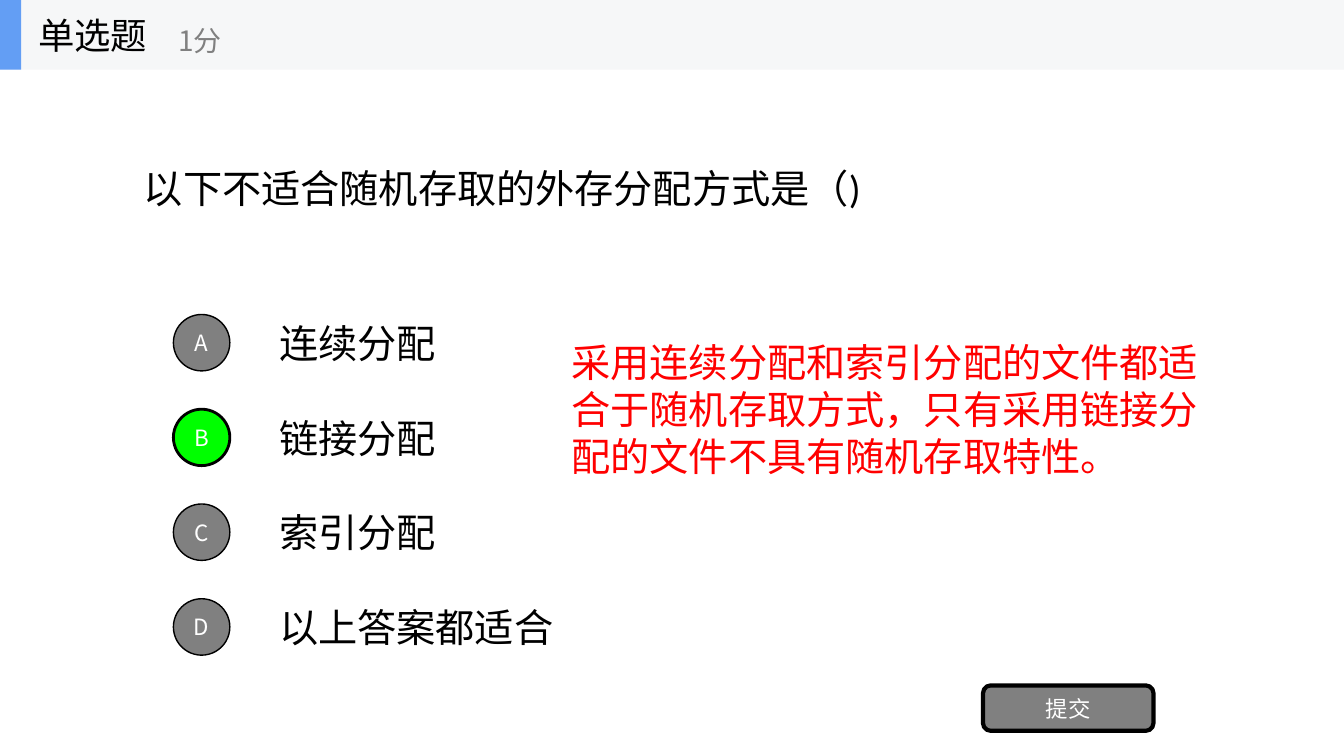
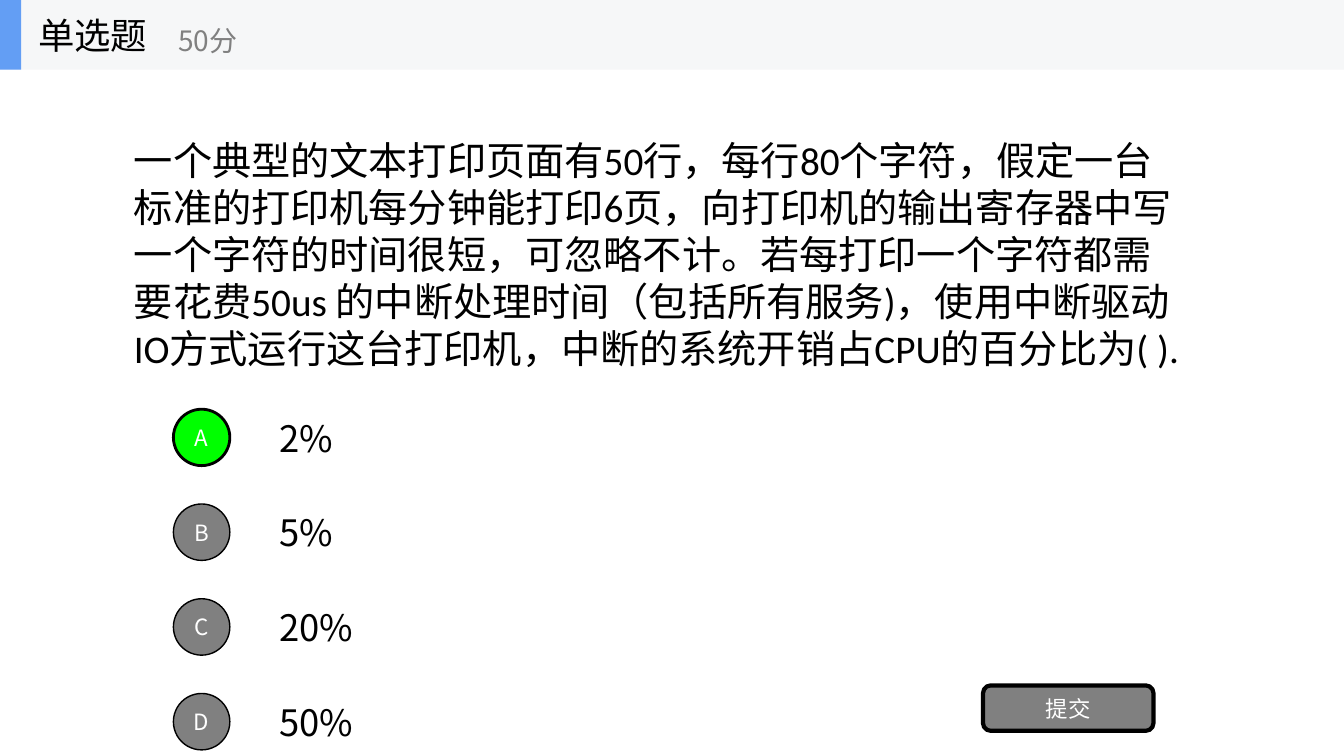
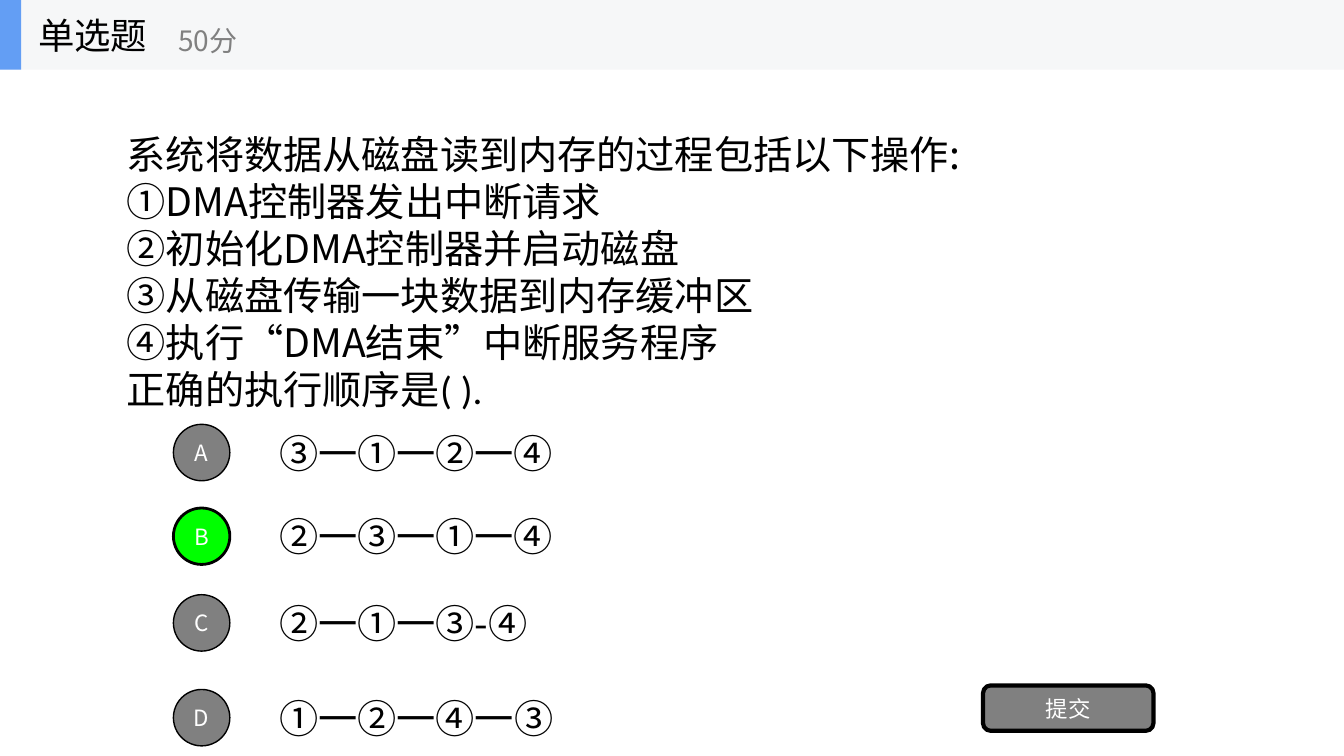
from lxml import etree
from pptx import Presentation
from pptx import util as u
from pptx.dml import color
from pptx.enum import shapes, text
from pptx.oxml import ns

COLORS = {
    "band": "F6F7F8", "accent": "639EF4", "ink": "000000", "muted": "808080",
    "correct": "00FF00", "white": "FFFFFF", "explanation": "FF0000",
}
LATIN, CHINESE = "Calibri", "Noto Sans CJK SC"
OPTION_STEP = 0.94

QUESTIONS = [
    {
        "score": "1分",
        "place": (1.33, 0.69),
        "prompt": [[("以下不适合随机存取的外存分配方式是（)", LATIN)]],
        "tops": [3.05 + OPTION_STEP * row for row in range(4)],
        "options": [[("连续分配", LATIN)], [("链接分配", LATIN)],
                    [("索引分配", LATIN)], [("以上答案都适合", CHINESE)]],
        "answer": "B",
        "explanation": "采用连续分配和索引分配的文件都适合于随机存取方式，"
                       "只有采用链接分配的文件不具有随机存取特性。",
    },
    {
        "score": "50分",
        "place": (1.23, 1.35),
        "prompt": [[("一个典型的文本打印页面有50行，每行80个字符，假定一台标准的打印机每分钟能打印6页，"
                     "向打印机的输出寄存器中写一个字符的时间很短，可忽略不计。若每打印一个字符都需要花费"
                     "50us 的中断处理时间（包括所有服务)，使用中断驱动IO方式运行这台打印机，"
                     "中断的系统开销占CPU的百分比为( ).", LATIN)]],
        "tops": [3.99 + OPTION_STEP * row for row in range(4)],
        "options": [[(share, CHINESE)] for share in ("2%", "5%", "20%", "50%")],
        "option_size": 26,
        "answer": "A",
    },
    {
        "score": "50分",
        "place": (1.16, 1.52),
        "prompt": [
            [("系统将数据从磁盘读到内存的过程包括以下操作:", CHINESE)],
            [("①DMA控制器发出中断请求", CHINESE)],
            [("②初始化DMA控制器并启动磁盘", CHINESE)],
            [("③从磁盘传输一块数据到内存缓冲区", CHINESE)],
            [("④执行“DMA结束”中断服务程序", CHINESE)],
            [("正确的执行顺序是( ).", LATIN)],
        ],
        "tops": [4.14, 4.97, 5.83, 6.77],
        "options": [[("③", CHINESE), ("一①一②一④", LATIN)],
                    [("②", CHINESE), ("一③一①一④", LATIN)],
                    [("②一①一③-④", CHINESE)], [("①一②一④一③", CHINESE)]],
        "answer": "B",
    },
]


def rgb(name):
    """Return the named palette colour."""
    return color.RGBColor.from_string(COLORS[name])


def write(shape, paragraphs, size, ink, align=text.PP_ALIGN.LEFT, anchor=text.MSO_ANCHOR.MIDDLE):
    """Fill a shape with paragraphs, each a list of (words, font) runs."""
    frame = shape.text_frame
    frame.word_wrap = True
    frame.vertical_anchor = anchor
    for index, runs in enumerate(paragraphs):
        paragraph = frame.add_paragraph() if index else frame.paragraphs[0]
        paragraph.alignment = align
        for words, font in runs:
            run = paragraph.add_run()
            run.text = words
            run.font.name = font
            run.font.size = u.Pt(size)
            run.font.color.rgb = rgb(ink)
            east_asian = etree.SubElement(run.font._element, ns.qn("a:ea"))
            east_asian.set("typeface", CHINESE)


def add_text(parent, place, paragraphs, size, ink="ink", **layout):
    """Add a text box at place, given in inches."""
    box = parent.shapes.add_textbox(*map(u.Inches, place))
    write(box, paragraphs, size, ink, **layout)


def add_block(parent, kind, place, fill, line_width=0, label=None):
    """Add a filled shape with an optional outline and centred label."""
    shape = parent.shapes.add_shape(kind, *map(u.Inches, place))
    shape.shadow.inherit = False
    shape.fill.solid()
    shape.fill.fore_color.rgb = rgb(fill)
    if line_width:
        shape.line.color.rgb = rgb("ink")
        shape.line.width = u.Pt(line_width)
    else:
        shape.line.fill.background()
    if label:
        write(shape, [[(label, CHINESE)]], 16, "white", align=text.PP_ALIGN.CENTER)


def add_header(slide, score):
    """Add the grouped band with the question type and its score."""
    header = slide.shapes.add_group_shape()
    add_block(header, shapes.MSO_SHAPE.RECTANGLE, (0, 0, 13.33, 0.69), "band")
    add_block(header, shapes.MSO_SHAPE.RECTANGLE, (0, 0, 0.21, 0.69), "accent")
    add_text(header, (0.28, 0, 2.08, 0.69), [[("单选题", CHINESE)]], 26)
    add_text(header, (1.67, 0.12, 2.5, 0.56), [[(score, CHINESE)]], 20, "muted")


def add_option(slide, letter, runs, top, size, correct):
    """Add one answer option with its lettered circle."""
    add_text(slide, (2.67, top, 9.33, 0.7), [runs], size)
    fill, line_width = ("correct", 2) if correct else ("muted", 1)
    add_block(slide, shapes.MSO_SHAPE.OVAL, (1.72, top + 0.07, 0.56, 0.56),
              fill, line_width, letter)


def add_question(presentation, question):
    """Add a slide for one single-choice question."""
    slide = presentation.slides.add_slide(presentation.slide_layouts[6])
    add_text(slide, (*question["place"], 10.67, 2.34), question["prompt"], 28)
    for letter, runs, top in zip("ABCD", question["options"], question["tops"]):
        add_option(slide, letter, runs, top, question.get("option_size", 28),
                   letter == question["answer"])
    if "explanation" in question:
        add_text(slide, (5.57, 3.31, 6.67, 1.51), [[(question["explanation"], LATIN)]],
                 28, "explanation", anchor=text.MSO_ANCHOR.TOP)
    add_block(slide, shapes.MSO_SHAPE.ROUNDED_RECTANGLE, (9.75, 6.8, 1.69, 0.45),
              "muted", 3, "提交")
    add_header(slide, question["score"])


def main():
    """Build and save the quiz."""
    presentation = Presentation()
    presentation.slide_width = u.Inches(13.33)
    presentation.slide_height = u.Inches(7.5)
    for question in QUESTIONS:
        add_question(presentation, question)
    presentation.save("out.pptx")


if __name__ == "__main__":
    main()
